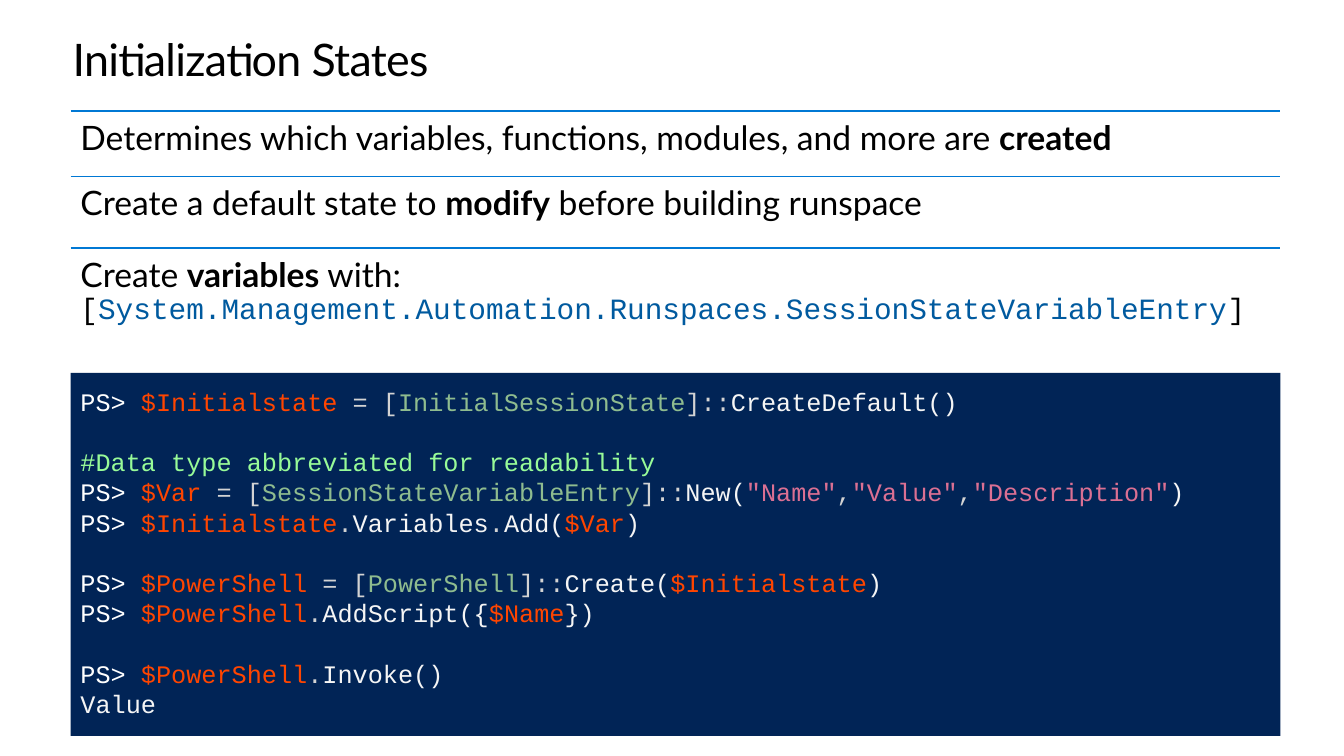
from pptx import Presentation, util as u
from pptx.dml.color import RGBColor
from pptx.enum import shapes, text
from pptx.oxml.ns import qn
from lxml import etree

BLACK, RULE, ACCENT, NAVY = "000000", "0078D4", "005A9F", "012456"
PROMPT, VARIABLE, SYMBOL, TYPE = "FFFFFF", "FF4500", "D3D3D3", "8FBC8F"
MEMBER, STRING, COMMENT = "F5F5F5", "DB7093", "98FB98"
SANS, MONO = "Lato", "Courier New"
LEFT, WIDTH = 0.7, 12

PS = ("PS> ", PROMPT)
DOT = (".", SYMBOL)
COMMA = (",", SYMBOL)
ASSIGN = ("= [", SYMBOL)
STATIC = ("]::", SYMBOL)
STATE = ("$Initialstate", VARIABLE)
SHELL = ("$PowerShell", VARIABLE)

CODE_BLOCKS = [
    [
        [PS, ("$Initialstate ", VARIABLE), ASSIGN, ("InitialSessionState", TYPE), STATIC,
         ("CreateDefault()", MEMBER)],
    ],
    [
        [("#Data type abbreviated for readability", COMMENT)],
        [PS, ("$Var ", VARIABLE), ASSIGN, ("SessionStateVariableEntry", TYPE), STATIC,
         ("New(", MEMBER), ('"Name"', STRING), COMMA, ('"Value"', STRING), COMMA,
         ('"Description"', STRING), (")", MEMBER)],
        [PS, STATE, DOT, ("Variables", MEMBER), DOT, ("Add(", MEMBER), ("$Var", VARIABLE),
         (")", MEMBER)],
    ],
    [
        [PS, ("$PowerShell ", VARIABLE), ASSIGN, ("PowerShell", TYPE), STATIC,
         ("Create(", MEMBER), STATE, (")", MEMBER)],
        [PS, SHELL, DOT, ("AddScript({", MEMBER), ("$Name", VARIABLE), ("})", MEMBER)],
    ],
    [
        [PS, SHELL, DOT, ("Invoke()", MEMBER)],
        [("Value", MEMBER)],
    ],
]

POINTS = [
    (0.65, [("Determines which variables, functions, modules, and more are ", False),
            ("created", True)], None),
    (0.71, [("Create a default state to ", False), ("modify", True),
            (" before building runspace", False)], None),
    (1.34, [("Create ", False), ("variables", True), (" with:", False)],
     "System.Management.Automation.Runspaces.SessionStateVariableEntry"),
]


def colour(value):
    """Turn a hex string into a colour."""
    return RGBColor.from_string(value)


def add_span(para, words, size=24, font=SANS, ink=BLACK, bold=False):
    """Add a formatted run to a paragraph and return it."""
    span = para.add_run()
    span.text = words
    span.font.size, span.font.name, span.font.bold = u.Pt(size), font, bold
    span.font.color.rgb = colour(ink)
    return span


def prepare_frame(box, inset=0.1, top_inset=None):
    """Set wrapping, anchor and insets, and return the text frame."""
    frame = box.text_frame
    frame.word_wrap = True
    frame.vertical_anchor = text.MSO_ANCHOR.TOP
    frame.margin_left = frame.margin_right = frame.margin_bottom = u.Inches(inset)
    frame.margin_top = u.Inches(inset if top_inset is None else top_inset)
    return frame


def add_title(page, left, top, width, height, words):
    """Place the slide title."""
    box = page.shapes.add_textbox(*map(u.Inches, (left, top, width, height)))
    para = prepare_frame(box, 0).paragraphs[0]
    para.line_spacing = u.Pt(36.2)
    span = add_span(para, words, size=32)
    span.font._element.set("spc", "-50")


def add_rule(page, left, top, width):
    """Draw a thin horizontal rule."""
    rule = page.shapes.add_connector(
        shapes.MSO_CONNECTOR.STRAIGHT, *map(u.Inches, (left, top, left + width, top)))
    rule.line.color.rgb = colour(RULE)
    rule.line.width = u.Pt(1)
    etree.SubElement(rule._element.spPr, qn("a:effectLst"))


def add_points(page, left, top, width, points):
    """Stack the ruled points downward from the given top."""
    for height, phrases, type_name in points:
        add_rule(page, left, top, width)
        box = page.shapes.add_textbox(*map(u.Inches, (left, top, width, height)))
        para = prepare_frame(box).paragraphs[0]
        para.line_spacing = 0.9
        for words, bold in phrases:
            add_span(para, words, bold=bold)
        if type_name:
            para.add_line_break()
            for words, ink in (("[", BLACK), (type_name, ACCENT), ("]", BLACK)):
                add_span(para, words, size=21, font=MONO, ink=ink)
        top += height


def add_console(page, left, top, width, height, blocks):
    """Place the console panel with its blocks of coloured code."""
    panel = page.shapes.add_shape(
        shapes.MSO_SHAPE.RECTANGLE, *map(u.Inches, (left, top, width, height)))
    panel.shadow.inherit = False
    panel.fill.solid()
    panel.fill.fore_color.rgb = colour(NAVY)
    panel.line.fill.background()
    frame = prepare_frame(panel, top_inset=0.13)
    pitch = u.Pt(21.6)
    for block_index, block in enumerate(blocks):
        for line_index, line in enumerate(block):
            first = block_index == line_index == 0
            para = frame.paragraphs[0] if first else frame.add_paragraph()
            para.alignment = text.PP_ALIGN.LEFT
            para.line_spacing = pitch
            if line_index == 0 and not first:
                para.space_before = pitch
            for words, ink in line:
                add_span(para, words, size=18, font=MONO, ink=ink)


def main():
    """Build and save the slide."""
    deck = Presentation()
    deck.slide_width, deck.slide_height = u.Inches(13.33), u.Inches(7.5)
    page = deck.slides.add_slide(deck.slide_layouts[6])
    add_title(page, 0.72, 0.35, 11.9, 0.5, "Initialization States")
    add_points(page, LEFT, 1.1, WIDTH, POINTS)
    add_console(page, LEFT, 3.7, WIDTH, 3.6, CODE_BLOCKS)
    deck.save("out.pptx")


if __name__ == "__main__":
    main()
